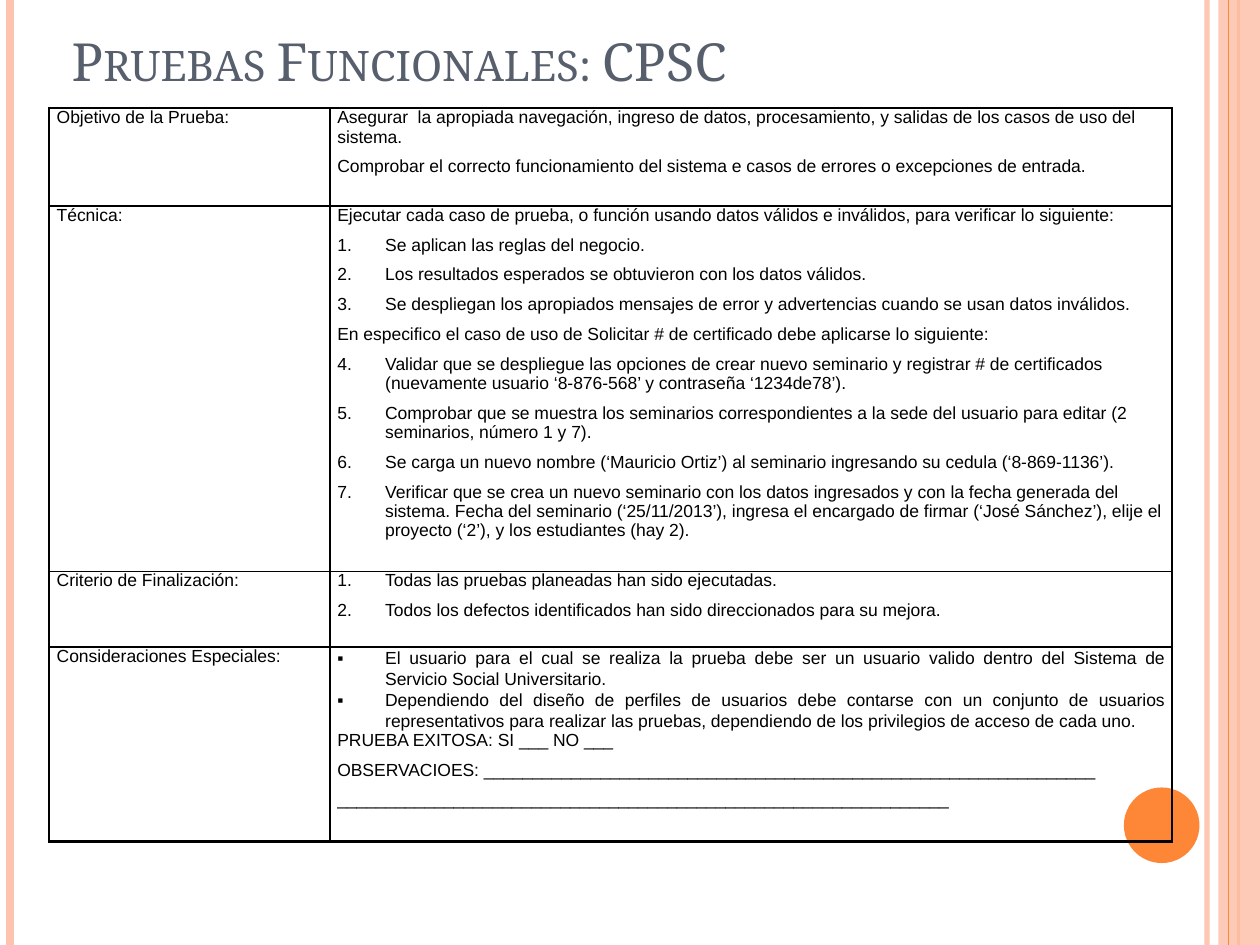
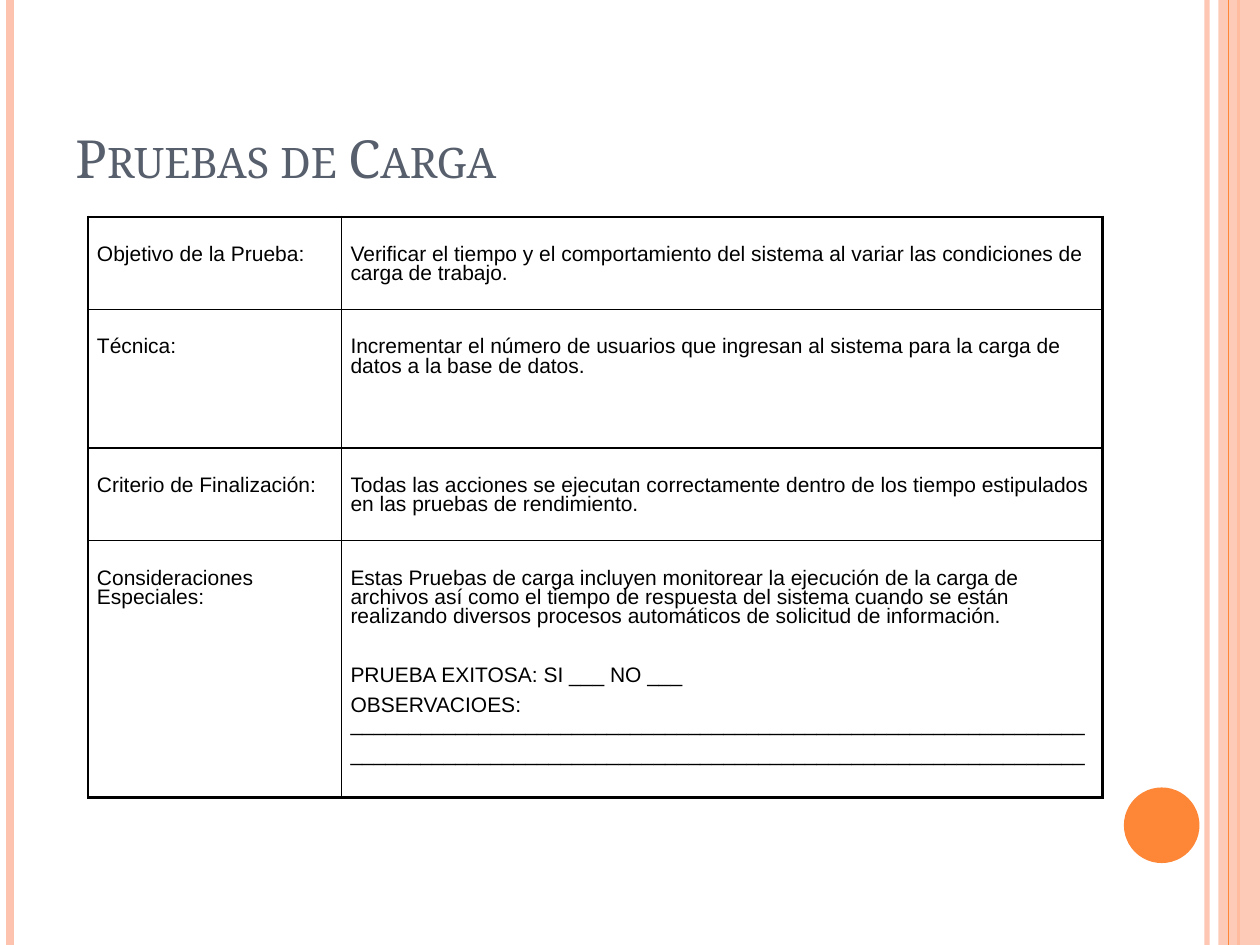
from lxml.etree import SubElement
from pptx import Presentation
from pptx.dml.color import RGBColor
from pptx.enum.shapes import MSO_CONNECTOR, MSO_SHAPE
from pptx.enum.text import MSO_ANCHOR, PP_ALIGN
from pptx.oxml import parse_xml
from pptx.oxml.ns import nsdecls, qn
from pptx.util import Inches, Pt

COLORS = {"peach": "FEC3AE", "orange": "FE8637", "title": "575F6D", "ink": "000000"}
TITLE_FONT, BODY_FONT = "Noto Serif", "Arial"

# Grid: 100 columns by 75 rows
COLS, ROWS = 100, 75
CELL = Inches(0.1)
SLIDE_BOX = (0, 0, COLS, ROWS)

# Paragraph styles: line spacing, space after, numbering, alignment
STYLES = {
    "plain": (11, 6, None, PP_ALIGN.LEFT),
    "spaced": (11, 23, None, PP_ALIGN.LEFT),
    "number": (11, 6, "number", PP_ALIGN.LEFT),
    "bullet": (12, 0, "bullet", PP_ALIGN.JUSTIFY),
}
LABELS = ["Objetivo de la Prueba:", "Técnica:", "Criterio de Finalización:",
          "Consideraciones Especiales:"]
RULE = "_" * 63
RESULT = [("plain", "PRUEBA EXITOSA: SI ___ NO ___"),
          ("plain", "OBSERVACIOES: " + RULE),
          ("plain", RULE)]


def grid(*values):
    return [round(v * CELL) for v in values]


def rgb(name):
    return RGBColor.from_string(COLORS[name])


def set_alpha(part, percent):
    color = next(part._element.spPr.iter(qn("a:srgbClr")))
    SubElement(color, qn("a:alpha"), val=str(percent * 1000))


def add_filled(s, preset, box, color):
    sp = s.shapes.add_shape(preset, *grid(*box))
    sp.shadow.inherit = False
    sp.fill.solid()
    sp.fill.fore_color.rgb = rgb(color)
    sp.line.fill.background()
    return sp


def add_stripe(s, box, column, color, width):
    left, top, _, height = box
    x, y1, y2 = grid(left + column, top, top + height)
    line = s.shapes.add_connector(MSO_CONNECTOR.STRAIGHT, x, y1, x, y2)
    line.line.color.rgb = rgb(color)
    line.line.width = Pt(width)
    SubElement(line._element.spPr, qn("a:effectLst"))
    return line


def add_frame(s, box):
    """Side stripes, right band and corner disc."""
    left, top, width, height = box
    right = left + width
    set_alpha(add_stripe(s, box, 95.8, "peach", 3), 93)
    add_stripe(s, box, 0.8, "peach", 4.5)
    add_stripe(s, box, 98.3, "orange", 1.5)
    band = add_filled(s, MSO_SHAPE.RECTANGLE, (right - 3.3, top, 3.3, height), "peach")
    set_alpha(band, 87)
    add_stripe(s, box, 97.5, "orange", 0.75)
    add_filled(s, MSO_SHAPE.OVAL, (right - 10.8, top + height - 12.5, 6, 6), "orange")


def add_title(s, box, text):
    tf = s.shapes.add_textbox(*grid(*box)).text_frame
    tf.word_wrap = True
    tf.vertical_anchor = MSO_ANCHOR.BOTTOM
    tf.text = text
    r = tf.paragraphs[0].runs[0]
    r.font.name, r.font.size, r.font.color.rgb = TITLE_FONT, Pt(30), rgb("title")
    r._r.get_or_add_rPr().set("cap", "small")


def add_marker(p, kind, number):
    pPr = p._p.get_or_add_pPr()
    pPr.set("marL", str(Inches(0.38)))
    pPr.set("indent", str(-Inches(0.38)))
    SubElement(pPr, qn("a:buFont"), typeface=BODY_FONT)
    if kind == "number":
        SubElement(pPr, qn("a:buAutoNum"), type="arabicPeriod", startAt=str(number))
    else:
        SubElement(pPr, qn("a:buChar"), char="▪")


def fill_cell(cell, paragraphs, size, side, top):
    cell.fill.background()
    cell.margin_left = cell.margin_right = Inches(side)
    cell.margin_top, cell.margin_bottom = Pt(top), 0
    tf = cell.text_frame
    tf.text = "\n".join(text for _, text in paragraphs)
    # A numbered run is restarted at the count it goes on from
    count, start, previous = 0, 1, None
    for p, (style, _) in zip(tf.paragraphs, paragraphs):
        spacing, after, marker, p.alignment = STYLES[style]
        p.line_spacing, p.space_after = Pt(spacing), Pt(after)
        if marker == "number":
            if previous != "number":
                start = count + 1
            count += 1
        if marker:
            add_marker(p, marker, start)
        previous = marker
        for r in p.runs:
            r.font.name, r.font.size, r.font.color.rgb = BODY_FONT, Pt(size), rgb("ink")


def set_borders(cell, outer):
    """Outer edges 1.5 pt, inner edges 1 pt."""
    tcPr = cell._tc.get_or_add_tcPr()
    for i, edge in enumerate("LRTB"):
        width = Pt(1.5 if edge in outer else 1)
        tcPr.insert(i, parse_xml(
            f'<a:ln{edge} {nsdecls("a")} w="{width}"><a:solidFill>'
            f'<a:srgbClr val="{COLORS["ink"]}"/></a:solidFill></a:ln{edge}>'))


def add_test_table(s, box, heights, contents, size, side, top=0):
    left, y, width, _ = box
    last = len(contents) - 1
    table = s.shapes.add_table(last + 1, 2, *grid(*box)).table
    table.first_row = table.horz_banding = False
    for column, share in zip(table.columns, (0.25, 0.75)):
        column.width = round(width * share * CELL)
    for i, (label, content) in enumerate(zip(LABELS, contents)):
        table.rows[i].height = round(heights[i] * CELL)
        for j, paragraphs in enumerate(([("plain", label)], content)):
            cell = table.cell(i, j)
            fill_cell(cell, paragraphs, size, side, top)
            set_borders(cell, "LR"[j] + "T" * (i == 0) + "B" * (i == last))


def add_test_slide(prs, title, title_box, **table):
    s = prs.slides.add_slide(prs.slide_layouts[6])
    add_frame(s, SLIDE_BOX)
    add_title(s, title_box, title)
    add_test_table(s, **table)


FUNCTIONAL = [
    [("plain", "Asegurar  la apropiada navegación, ingreso de datos, procesamiento, y salidas "
               "de los casos de uso del sistema."),
     ("plain", "Comprobar el correcto funcionamiento del sistema e casos de errores o "
               "excepciones de entrada.")],
    [("plain", "Ejecutar cada caso de prueba, o función usando datos válidos e inválidos, "
               "para verificar lo siguiente:"),
     ("number", "Se aplican las reglas del negocio."),
     ("number", "Los resultados esperados se obtuvieron con los datos válidos."),
     ("number", "Se despliegan los apropiados mensajes de error y advertencias cuando se usan "
                "datos inválidos."),
     ("plain", "En especifico el caso de uso de Solicitar # de certificado debe aplicarse lo "
               "siguiente:"),
     ("number", "Validar que se despliegue las opciones de crear nuevo seminario y registrar # "
                "de certificados (nuevamente usuario ‘8-876-568’ y contraseña ‘1234de78’)."),
     ("number", "Comprobar que se muestra los seminarios correspondientes a la sede del usuario "
                "para editar (2 seminarios, número 1 y 7)."),
     ("number", "Se carga un nuevo nombre (‘Mauricio Ortiz’) al seminario ingresando su cedula "
                "(‘8-869-1136’)."),
     ("number", "Verificar que se crea un nuevo seminario con los datos ingresados y con la "
                "fecha generada del sistema. Fecha del seminario (‘25/11/2013’), ingresa el "
                "encargado de firmar (‘José Sánchez’), elije el proyecto (‘2’), y los "
                "estudiantes (hay 2).")],
    [("number", "Todas las pruebas planeadas han sido ejecutadas."),
     ("number", "Todos los defectos identificados han sido direccionados para su mejora.")],
    [("bullet", "El usuario para el cual se realiza la prueba debe ser un usuario valido dentro "
                "del Sistema de Servicio Social Universitario."),
     ("bullet", "Dependiendo del diseño de perfiles de usuarios debe contarse con un conjunto "
                "de usuarios representativos para realizar las pruebas, dependiendo de los "
                "privilegios de acceso de cada uno.")] + RESULT,
]
LOAD = [
    [("plain", "Verificar el tiempo y el comportamiento del sistema al variar las condiciones "
               "de carga de trabajo.")],
    [("plain", "Incrementar el número de usuarios que ingresan al sistema para la carga de "
               "datos a la base de datos.")],
    [("plain", "Todas las acciones se ejecutan correctamente dentro de los tiempo estipulados "
               "en las pruebas de rendimiento.")],
    [("spaced", "Estas Pruebas de carga incluyen monitorear la ejecución de la carga de archivos "
                "así como el tiempo de respuesta del sistema cuando se están realizando "
                "diversos procesos automáticos de solicitud de información.")] + RESULT,
]

prs = Presentation()
prs.slide_width, prs.slide_height = grid(COLS, ROWS)
add_test_slide(prs, "Pruebas Funcionales: CPSC", (4.7, -4.7, 81.7, 12.5),
               box=(3.9, 8.6, 89.1, 58.2), heights=(7.75, 29, 6, 15.45),
               contents=FUNCTIONAL, size=10, side=0.06)
add_test_slide(prs, "Pruebas de Carga", (5, 3, 81.7, 12.5),
               box=(7, 17.2, 80.5, 46.1), heights=(7.35, 11, 7.35, 20.4),
               contents=LOAD, size=12, side=0.07, top=17)
prs.save("out.pptx")
